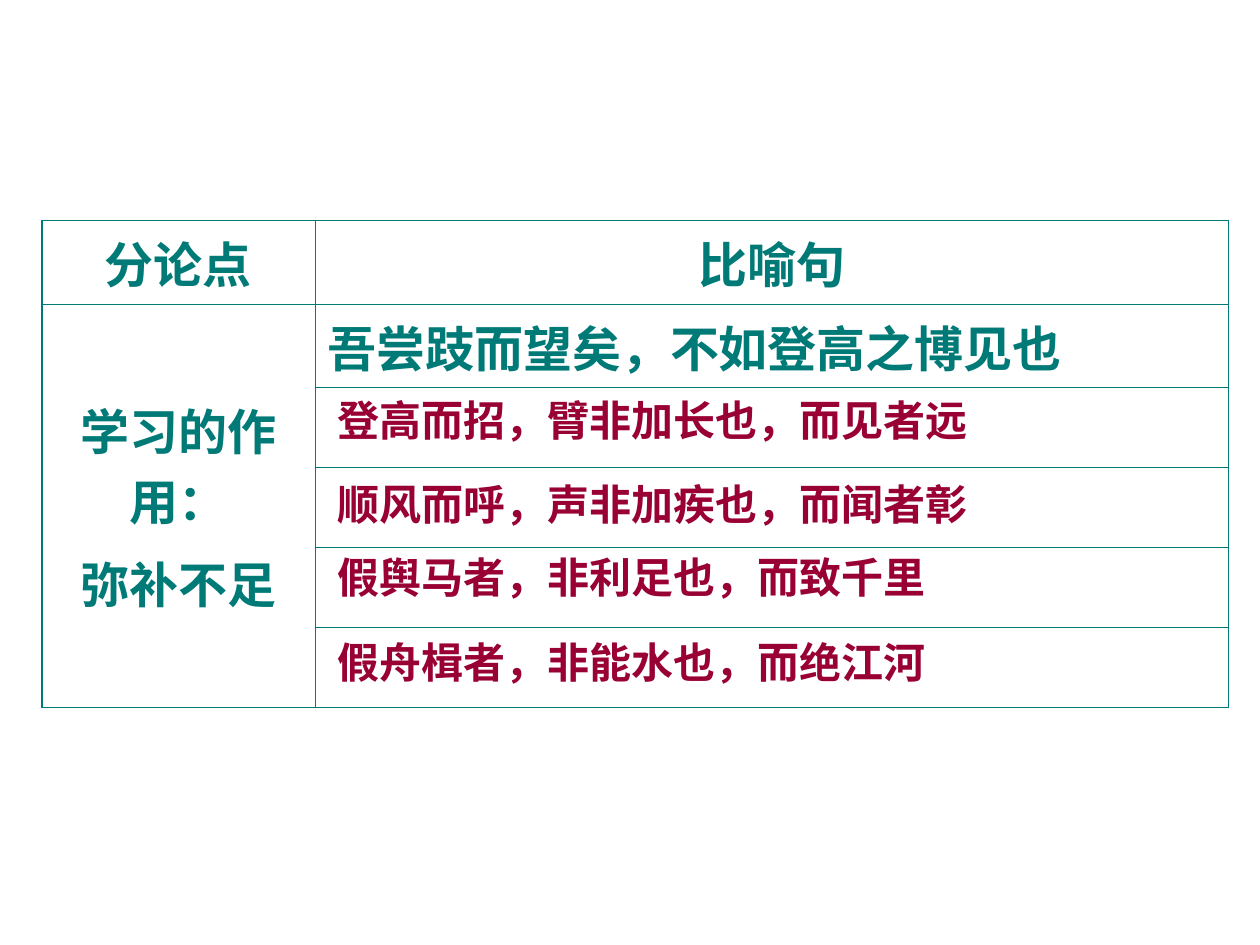
from lxml import etree
from pptx import Presentation
from pptx import util as u
from pptx.dml.color import RGBColor
from pptx.enum import text
from pptx.oxml.ns import qn

TEAL = RGBColor(0x00, 0x7A, 0x77)
CRIMSON = RGBColor(0x99, 0x00, 0x33)
LEFT_EDGE_WIDTH = u.Pt(1.08)
RULE_WIDTH = u.Pt(0.45)

COLUMN_WIDTHS = (5.51, 18.42)
ROW_COUNT = 6
ROW_HEIGHT = 1.61
THESIS = ("学习的作用：", "弥补不足")
THESIS_MARGIN = 0.4
METAPHORS = (
    ("登高而招，臂非加长也，而见者远", 7.82, 14.17),
    ("顺风而呼，声非加疾也，而闻者彰", 9.53, 13.54),
    ("假舆马者，非利足也，而致千里", 11.0, 13.54),
    ("假舟楫者，非能水也，而绝江河", 12.7, 13.54),
)


def format_paragraph(paragraph, font_name, size, color, align):
    paragraph.alignment = align
    for run in paragraph.runs:
        run.font.name = font_name
        run.font.size = u.Pt(size)
        run.font.bold = True
        run.font.color.rgb = color


def set_borders(cell, left_width):
    properties = cell._tc.get_or_add_tcPr()
    for side in "LRTB":
        width = left_width if side == "L" else RULE_WIDTH
        line = etree.SubElement(properties, qn(f"a:ln{side}"), w=str(width))
        fill = etree.SubElement(line, qn("a:solidFill"))
        etree.SubElement(fill, qn("a:srgbClr"), val=str(TEAL))


def write_cell(cell, lines, align=text.PP_ALIGN.CENTER,
               anchor=text.MSO_ANCHOR.TOP):
    cell.vertical_anchor = anchor
    cell.text_frame.text = "\n".join(lines)
    for index, paragraph in enumerate(cell.text_frame.paragraphs):
        format_paragraph(paragraph, "Arial", 28, TEAL, align)
        if index:
            paragraph.space_before = u.Pt(7)


def add_argument_table(slide):
    table = slide.shapes.add_table(
        ROW_COUNT, len(COLUMN_WIDTHS), u.Cm(0.84), u.Cm(4.45),
        u.Cm(sum(COLUMN_WIDTHS)), u.Cm(ROW_COUNT * ROW_HEIGHT)).table
    table.first_row = False
    table.horz_banding = False
    for column, width in zip(table.columns, COLUMN_WIDTHS):
        column.width = u.Cm(width)
    for row in table.rows:
        row.height = u.Cm(ROW_HEIGHT)
        for column_index, cell in enumerate(row.cells):
            set_borders(cell, RULE_WIDTH if column_index else LEFT_EDGE_WIDTH)
            cell.fill.background()

    thesis = table.cell(1, 0)
    thesis.merge(table.cell(ROW_COUNT - 1, 0))
    thesis.margin_left = thesis.margin_right = u.Cm(THESIS_MARGIN)
    write_cell(table.cell(0, 0), ["分论点"], anchor=text.MSO_ANCHOR.MIDDLE)
    write_cell(table.cell(0, 1), ["比喻句"])
    write_cell(thesis, THESIS, anchor=text.MSO_ANCHOR.MIDDLE)
    write_cell(table.cell(1, 1), ["吾尝跂而望矣，不如登高之博见也"],
               align=text.PP_ALIGN.LEFT)


def add_metaphor(slide, sentence, top, width):
    frame = slide.shapes.add_textbox(
        u.Cm(6.55), u.Cm(top), u.Cm(width), u.Cm(1.27)).text_frame
    frame.word_wrap = True
    frame.auto_size = text.MSO_AUTO_SIZE.SHAPE_TO_FIT_TEXT
    frame.text = sentence
    format_paragraph(frame.paragraphs[0], "Times New Roman", 24, CRIMSON,
                     text.PP_ALIGN.LEFT)


def main():
    presentation = Presentation()
    presentation.slide_width = u.Cm(25.4)
    presentation.slide_height = u.Cm(19.05)
    slide = presentation.slides.add_slide(presentation.slide_layouts[6])
    add_argument_table(slide)
    for sentence, top, width in METAPHORS:
        add_metaphor(slide, sentence, top, width)
    presentation.save("out.pptx")


if __name__ == "__main__":
    main()
